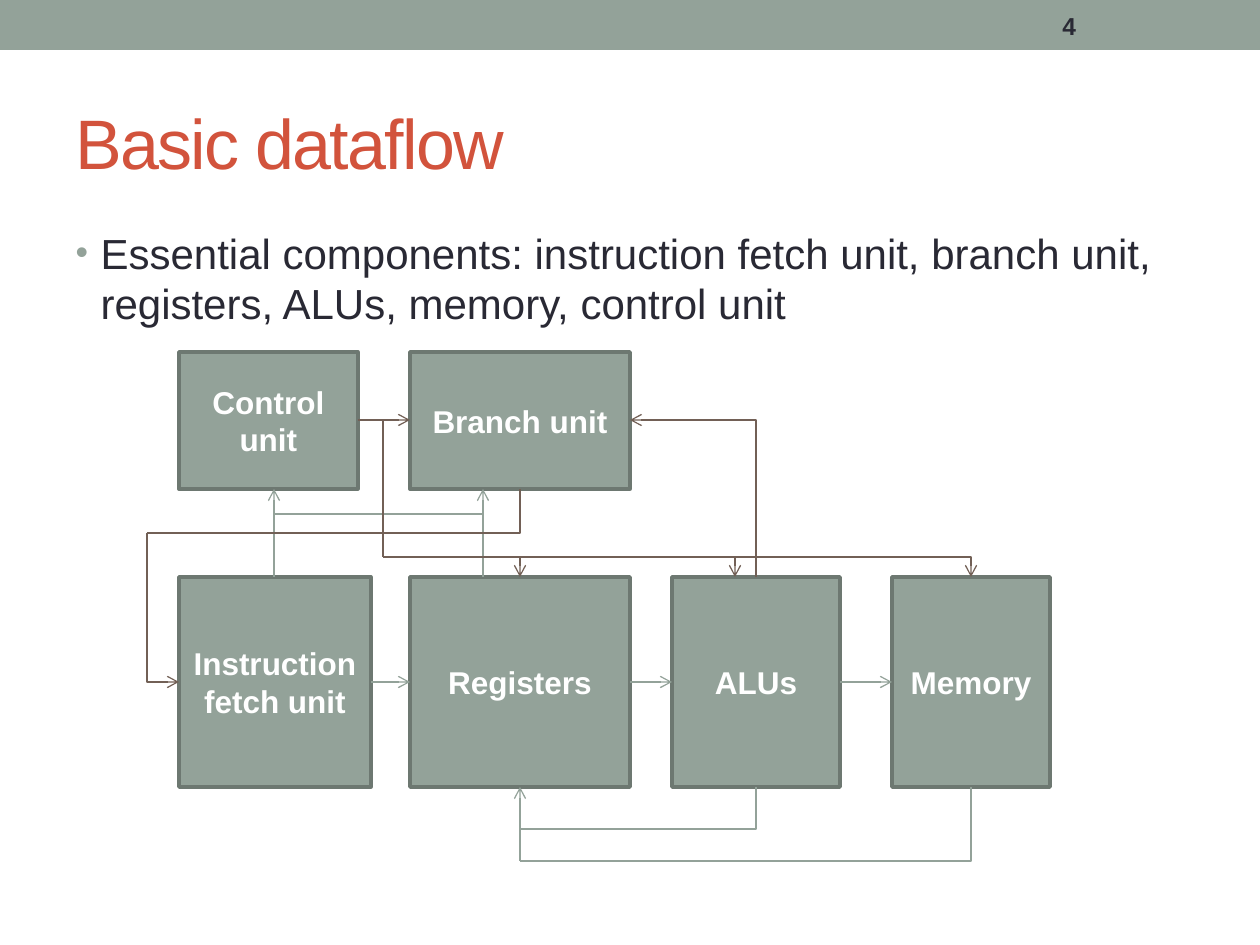
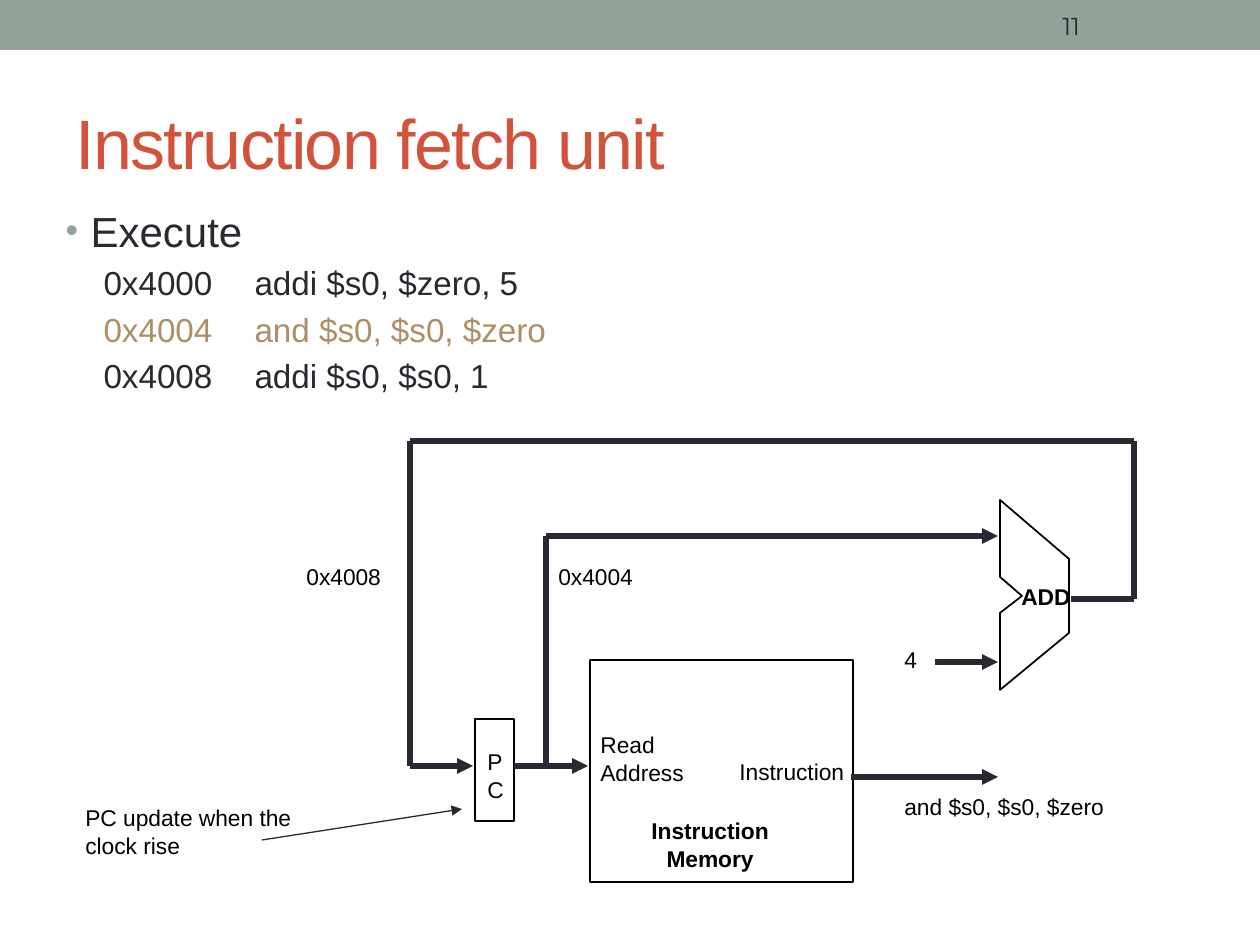
from dataclasses import dataclass

from lxml import etree
from pptx import Presentation
from pptx.dml.color import RGBColor
from pptx.enum.shapes import MSO_CONNECTOR, MSO_SHAPE
from pptx.enum.text import MSO_ANCHOR, MSO_AUTO_SIZE, PP_ALIGN
from pptx.oxml.ns import qn
from pptx.util import Pt

STRAIGHT, ELBOW = MSO_CONNECTOR.STRAIGHT, MSO_CONNECTOR.ELBOW
RECTANGLE = MSO_SHAPE.RECTANGLE
MIDDLE, TOP = MSO_ANCHOR.MIDDLE, MSO_ANCHOR.TOP
LEFT, CENTER = PP_ALIGN.LEFT, PP_ALIGN.CENTER
FIXED = MSO_AUTO_SIZE.NONE
EMU_PER_PX = 914400 / 126


@dataclass(frozen=True)
class Theme:
    font: str = "Arial"
    number_font: str = "Montserrat"
    sage: str = "93A299"
    sage_dark: str = "6D7871"
    brown: str = "726056"
    red: str = "D2533C"
    ink: str = "292934"
    tan: str = "AD8F67"
    black: str = "000000"
    white: str = "FFFFFF"
    title_size: int = 40
    body_size: int = 24
    code_size: int = 19
    unit_size: int = 18
    number_size: int = 14
    label_size: int = 13
    thin: float = 0.75
    outline: float = 1
    border: float = 2.08
    thick: float = 3


THEME = Theme()

DATAFLOW = {
    "title": "Basic dataflow",
    "number": ("4", THEME.font, True),
    "body_at": (63, 221, 1134, 672),
    "body": [(0, "Essential components: instruction fetch unit, branch unit, "
                 "registers, ALUs, memory, control unit", THEME.ink)],
}
FETCH = {
    "title": "Instruction fetch unit",
    "number": ("11", THEME.number_font, False),
    "body_at": (53, 199, 1134, 624),
    "body": [
        (0, "Execute", THEME.ink),
        (1, "0x4000\taddi $s0, $zero, 5", THEME.ink),
        (1, "0x4004\tand $s0, $s0, $zero", THEME.tan),
        (1, "0x4008\taddi $s0, $s0, 1", THEME.ink),
    ],
}

UNIT_ROW = (577, 210)
CONTROL_ROW = (352, 137)
UNITS = [
    ("Instruction fetch unit", 179, 192, UNIT_ROW),
    ("Branch unit", 410, 220, CONTROL_ROW),
    ("Registers", 410, 220, UNIT_ROW),
    ("ALUs", 672, 168, UNIT_ROW),
    ("Memory", 892, 158, UNIT_ROW),
    ("Control unit", 179, 179, CONTROL_ROW),
]
DATA_WIRES = [
    (STRAIGHT, (274, 577), (274, 489), "tail"),
    (STRAIGHT, (371, 682), (410, 682), "tail"),
    (STRAIGHT, (630, 682), (672, 682), "tail"),
    (STRAIGHT, (840, 682), (892, 682), "tail"),
    (ELBOW, (520, 829), (756, 787), None),
    (STRAIGHT, (520, 861), (520, 787), "tail"),
    (ELBOW, (520, 861), (971, 787), None),
    (ELBOW, (483, 514), (274, 577), None),
    (STRAIGHT, (483, 577), (483, 489), "tail"),
]
CONTROL_WIRES = [
    (STRAIGHT, (358, 420), (410, 420), "tail"),
    (ELBOW, (630, 420), (756, 577), "head"),
    (ELBOW, (147, 533), (520, 489), None),
    (ELBOW, (179, 682), (147, 533), "head"),
    (ELBOW, (358, 420), (383, 557), None),
    (ELBOW, (383, 557), (971, 577), "tail"),
    (STRAIGHT, (520, 557), (520, 577), "tail"),
    (STRAIGHT, (735, 557), (735, 577), "tail"),
]

PC_BOX = (475, 719, 39, 102)
MEMORY_BOX = (590, 660, 263, 222)
ADDER = [(1000, 500), (1000, 577), (1022, 596), (1000, 613),
         (1000, 690), (1069, 633), (1069, 559)]
FETCH_LABELS = [
    (["PC"], (475, 742, 39, 68), {}),
    (["Read", "Address"], (588, 725, 108, 67), {}),
    (["Instruction", "Memory"], (638, 811, 144, 67),
     {"bold": True, "align": CENTER, "wrap": False}),
    (["Instruction"], (727, 752, 145, 40), {}),
    (["ADD"], (1009, 577, 74, 40), {"bold": True, "wrap": False}),
    (["4"], (892, 640, 45, 40), {}),
    (["PC update when the clock rise"], (73, 798, 252, 67), {}),
    (["and $s0, $s0, $zero"], (892, 787, 252, 40), {}),
    (["0x4004"], (546, 557, 252, 40), {}),
    (["0x4008"], (294, 557, 105, 40), {}),
]
FETCH_ARROWS = [
    ((851, 777), (998, 777)),
    ((514, 766), (588, 766)),
    ((935, 662), (998, 662)),
    ((546, 536), (998, 536)),
    ((410, 766), (473, 766)),
]
FETCH_LINES = [
    ((546, 766), (546, 536)),
    ((1071, 599), (1134, 599)),
    ((1134, 599), (1134, 441)),
    ((1134, 441), (410, 441)),
    ((410, 441), (410, 766)),
]
CLOCK_ARROW = ((262, 840), (462, 809))


def px(*values):
    return [round(value * EMU_PER_PX) for value in values]


def color(value):
    return RGBColor.from_string(value)


def add_run(paragraph, text, size, text_color, bold=False, font=THEME.font):
    run = paragraph.add_run()
    run.text = text
    run.font.name = font
    run.font.size = Pt(size)
    run.font.bold = bold
    run.font.color.rgb = color(text_color)
    return run


def place(shape, box):
    shape.left, shape.top, shape.width, shape.height = px(*box)


def style_outline(shape, line_color, width):
    shape.shadow.inherit = False
    shape.fill.background()
    shape.line.color.rgb = color(line_color)
    shape.line.width = Pt(width)


def add_band(layout, slide):
    band = slide.shapes.add_shape(RECTANGLE, *px(0, 0, 1260, 50))
    band.shadow.inherit = False
    band.fill.solid()
    band.fill.fore_color.rgb = color(THEME.sage)
    band.line.fill.background()
    layout.shapes._spTree.insert(2, band._element)


def add_label(slide, lines, box, size=THEME.label_size, text_color=THEME.black,
              bold=False, align=LEFT, wrap=True, anchor=TOP, font=THEME.font):
    frame = slide.shapes.add_textbox(*px(*box)).text_frame
    frame.word_wrap = wrap
    frame.vertical_anchor = anchor
    for index, line in enumerate(lines):
        paragraph = frame.add_paragraph() if index else frame.paragraphs[0]
        paragraph.alignment = align
        add_run(paragraph, line, size, text_color, bold, font)


def format_bullet(paragraph, level):
    properties = paragraph._p.get_or_add_pPr()
    margin, indent = ((25, -25), (63, -25))[level]
    properties.set("marL", str(px(margin)[0]))
    properties.set("indent", str(px(indent)[0]))
    if level:
        etree.SubElement(properties, qn("a:buNone"))
        return
    bullet_color = etree.SubElement(properties, qn("a:buClr"))
    etree.SubElement(bullet_color, qn("a:srgbClr"), val=THEME.sage)
    etree.SubElement(properties, qn("a:buSzPct"), val="85000")
    etree.SubElement(properties, qn("a:buFont"), typeface=THEME.font)
    etree.SubElement(properties, qn("a:buChar"), char="•")


def fill_frame(slide, content):
    title = slide.shapes.title
    place(title, (63, 73, 1134, 136))
    title.text_frame.auto_size = FIXED
    title.text_frame.vertical_anchor = MIDDLE
    heading = title.text_frame.paragraphs[0]
    heading.alignment = LEFT
    run = add_run(heading, content["title"], THEME.title_size, THEME.red)
    run.font._element.set("spc", "-100")

    body = slide.placeholders[1]
    place(body, content["body_at"])
    frame = body.text_frame
    frame.auto_size = FIXED
    for index, (level, text, text_color) in enumerate(content["body"]):
        paragraph = frame.add_paragraph() if index else frame.paragraphs[0]
        paragraph.level = level
        format_bullet(paragraph, level)
        size = THEME.code_size if level else THEME.body_size
        add_run(paragraph, text, size, text_color)

    number, font, bold = content["number"]
    add_label(slide, [number], (1050, 3, 147, 45), THEME.number_size,
              THEME.ink, bold, anchor=MIDDLE, font=font)


def add_wire(slide, kind, start, end, line_color, width, arrow_end=None, arrow="arrow"):
    wire = slide.shapes.add_connector(kind, *px(*start, *end))
    wire.line.color.rgb = color(line_color)
    wire.line.width = Pt(width)
    properties = wire._element.spPr
    if kind == ELBOW:
        properties.find(qn("a:prstGeom")).set("prst", "bentConnector2")
    if arrow_end:
        etree.SubElement(properties.find(qn("a:ln")), qn(f"a:{arrow_end}End"), type=arrow)
    etree.SubElement(properties, qn("a:effectLst"))


def draw_dataflow(slide):
    for name, left, width, (top, height) in UNITS:
        unit = slide.shapes.add_shape(RECTANGLE, *px(left, top, width, height))
        style_outline(unit, THEME.sage_dark, THEME.border)
        unit.fill.solid()
        unit.fill.fore_color.rgb = color(THEME.sage)
        unit.text_frame.word_wrap = True
        unit.text_frame.vertical_anchor = MIDDLE
        paragraph = unit.text_frame.paragraphs[0]
        paragraph.alignment = CENTER
        add_run(paragraph, name, THEME.unit_size, THEME.white, True)
    for wires, line_color in ((DATA_WIRES, THEME.sage), (CONTROL_WIRES, THEME.brown)):
        for kind, start, end, arrow_end in wires:
            add_wire(slide, kind, start, end, line_color, THEME.thin, arrow_end)


def draw_fetch_unit(slide):
    for box in (PC_BOX, MEMORY_BOX):
        block = slide.shapes.add_shape(RECTANGLE, *px(*box))
        style_outline(block, THEME.black, THEME.outline)
    builder = slide.shapes.build_freeform(*ADDER[0], scale=EMU_PER_PX)
    builder.add_line_segments(ADDER[1:], close=True)
    style_outline(builder.convert_to_shape(), THEME.black, THEME.outline)
    for lines, box, options in FETCH_LABELS:
        add_label(slide, lines, box, **options)
    for start, end in FETCH_ARROWS:
        add_wire(slide, STRAIGHT, start, end, THEME.ink, THEME.thick, "tail", "triangle")
    for start, end in FETCH_LINES:
        add_wire(slide, STRAIGHT, start, end, THEME.ink, THEME.thick)
    add_wire(slide, STRAIGHT, *CLOCK_ARROW, THEME.ink, THEME.thin, "tail", "triangle")


def main():
    presentation = Presentation()
    presentation.slide_width, presentation.slide_height = px(1260, 945)
    layout = presentation.slide_layouts[1]
    for content, draw in ((DATAFLOW, draw_dataflow), (FETCH, draw_fetch_unit)):
        slide = presentation.slides.add_slide(layout)
        if content is DATAFLOW:
            add_band(layout, slide)
        fill_frame(slide, content)
        draw(slide)
    presentation.save("out.pptx")


if __name__ == "__main__":
    main()
